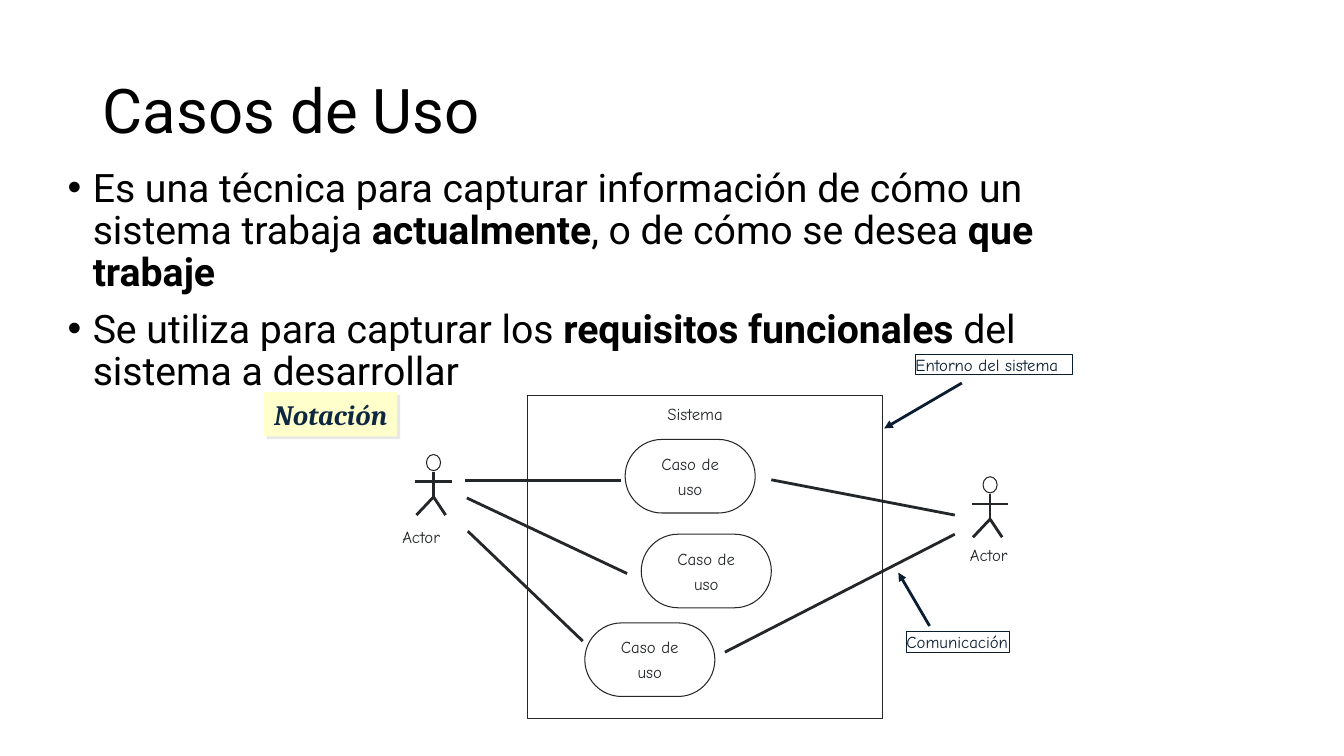
from pptx import Presentation
from pptx.dml.color import RGBColor
from pptx.enum.shapes import MSO_CONNECTOR, MSO_SHAPE
from pptx.enum.text import MSO_ANCHOR, MSO_AUTO_SIZE, PP_ALIGN
from pptx.util import Inches, Pt
from pptx.oxml import parse_xml
from pptx.oxml.ns import nsdecls
from lxml.etree import SubElement
from pptx.oxml.ns import qn

INK, NAVY = "242729", "0B1E31"


def shape(kind, x, y, w, h, fill=None, edge=None, width=0, lines=(),
          color=INK, font="Comic Neue", size=12):
    item = slide.shapes.add_shape(kind, Inches(x), Inches(y), Inches(w), Inches(h))
    item.shadow.inherit = False
    if fill:
        item.fill.solid()
        item.fill.fore_color.rgb = RGBColor.from_string(fill)
    else:
        item.fill.background()
    if edge:
        item.line.color.rgb = RGBColor.from_string(edge)
        item.line.width = Pt(width)
    else:
        item.line.fill.background()
    frame = item.text_frame
    frame.margin_left = frame.margin_right = frame.margin_top = frame.margin_bottom = 0
    frame.word_wrap = False
    frame.vertical_anchor = MSO_ANCHOR.MIDDLE
    if lines:
        frame.text = "\n".join(lines)
    for para in frame.paragraphs:
        para.alignment = PP_ALIGN.CENTER if len(lines) > 1 else PP_ALIGN.LEFT
        for run in para.runs:
            run.font.name, run.font.size = font, Pt(size)
            run.font.color.rgb = RGBColor.from_string(color)
    return item


def line(x1, y1, x2, y2, color=INK, arrow=False):
    item = slide.shapes.add_connector(
        MSO_CONNECTOR.STRAIGHT, Inches(x1), Inches(y1), Inches(x2), Inches(y2))
    item.line.color.rgb = RGBColor.from_string(color)
    item.line.width = Pt(0)
    if arrow:
        SubElement(item.line._get_or_add_ln(), qn("a:tailEnd"),
                   type="triangle", w="med", len="med")
    SubElement(item._element.spPr, qn("a:effectLst"))


deck = Presentation()
deck.slide_width, deck.slide_height = Inches(13.33), Inches(7.5)
slide = deck.slides.add_slide(deck.slide_layouts[1])

# Title
title = slide.shapes.title
title.left, title.top, title.width, title.height = map(Inches, (0.92, 0.4, 11.5, 1.45))
title.text_frame.text = "Casos de Uso"
title.text_frame.vertical_anchor = MSO_ANCHOR.MIDDLE

# Bullets: every second run is bold
body = slide.placeholders[1]
body.left, body.top, body.width, body.height = map(Inches, (0.57, 1.62, 10.9, 2.24))
points = [
    ["Es una técnica para capturar información de cómo un sistema trabaja ",
     "actualmente", ", o de cómo se desea ", "que trabaje"],
    ["Se utiliza para capturar los ", "requisitos funcionales ",
     "del sistema a desarrollar"],
]
for i, parts in enumerate(points):
    para = body.text_frame.paragraphs[0] if i == 0 else body.text_frame.add_paragraph()
    para.space_before = Pt(10)
    props = para._p.get_or_add_pPr()
    props.set("marL", str(Inches(0.25)))
    props.set("indent", str(-Inches(0.25)))
    for j, part in enumerate(parts):
        run = para.add_run()
        run.text = part
        run.font.bold = j % 2 == 1

for holder, size in ((title, 44), (body, 28)):
    holder.text_frame.auto_size = MSO_AUTO_SIZE.NONE
    for para in holder.text_frame.paragraphs:
        para.alignment = PP_ALIGN.LEFT
        para.line_spacing = 0.9
        for run in para.runs:
            run.font.name, run.font.size = "Roboto", Pt(size)
            run.font.color.rgb = RGBColor.from_string("000000")

# Actors: neck centre, head top, label place
for x, y, left, top in ((4.3, 4.51, 3.99, 5.23), (9.82, 4.73, 9.62, 5.4)):
    shape(MSO_SHAPE.OVAL, x - 0.07, y, 0.14, 0.16, "FFFFFF", INK)
    line(x, y + 0.17, x, y + 0.42)
    line(x, y + 0.42, x - 0.17, y + 0.6)
    line(x, y + 0.42, x + 0.12, y + 0.6)
    line(x - 0.18, y + 0.27, x + 0.18, y + 0.27)
    shape(MSO_SHAPE.RECTANGLE, left, top, 0.46, 0.2, lines=["Actor"])

# System frame and its use cases
shape(MSO_SHAPE.RECTANGLE, 5.23, 3.92, 3.52, 3.21, "FFFFFF", INK)
shape(MSO_SHAPE.RECTANGLE, 6.62, 4.01, 0.64, 0.2, lines=["Sistema"])
for x, y in ((6.2, 4.36), (6.36, 5.3), (5.8, 6.18)):
    case = shape(MSO_SHAPE.ROUNDED_RECTANGLE, x, y, 1.29, 0.73, "FFFFFF", INK,
                 lines=["Caso de", "uso"])
    case.adjustments[0] = 0.5
    case.text_frame.paragraphs[1].space_before = Pt(3.5)

# Links between actors and use cases
for ends in ((4.61, 4.77, 6.16, 4.77), (9.47, 5.3, 7.19, 6.47),
             (4.63, 4.94, 6.22, 5.69), (4.64, 5.27, 5.78, 6.36),
             (9.47, 5.11, 7.65, 4.76)):
    line(*ends)

# Callouts with arrows
for text, x, y, w, ends in (
        ("Entorno del sistema", 9.08, 3.52, 1.56, (9.54, 3.8, 8.77, 4.25)),
        ("Comunicación", 8.99, 6.27, 1.02, (9.22, 6.21, 8.91, 5.68))):
    shape(MSO_SHAPE.RECTANGLE, x, y, w, 0.2, edge=NAVY, width=0.75,
          lines=[text], color=NAVY)
    line(*ends, NAVY, arrow=True)

# Notation tag with a hard shadow
tag = shape(MSO_SHAPE.RECTANGLE, 2.62, 3.89, 1.32, 0.44, "FFFFCC",
            lines=["Notación"], color="0E2841", font="Cambria", size=20)
tag.text_frame.margin_left = Inches(0.1)
font = tag.text_frame.paragraphs[0].runs[0].font
font.bold = font.italic = True
tag._element.spPr.find(qn("a:effectLst")).append(parse_xml(
    f'<a:outerShdw {nsdecls("a")} dist="{Pt(2.8)}" dir="2700000" algn="ctr">'
    '<a:srgbClr val="E8E8E8"/></a:outerShdw>'))

deck.save("out.pptx")
